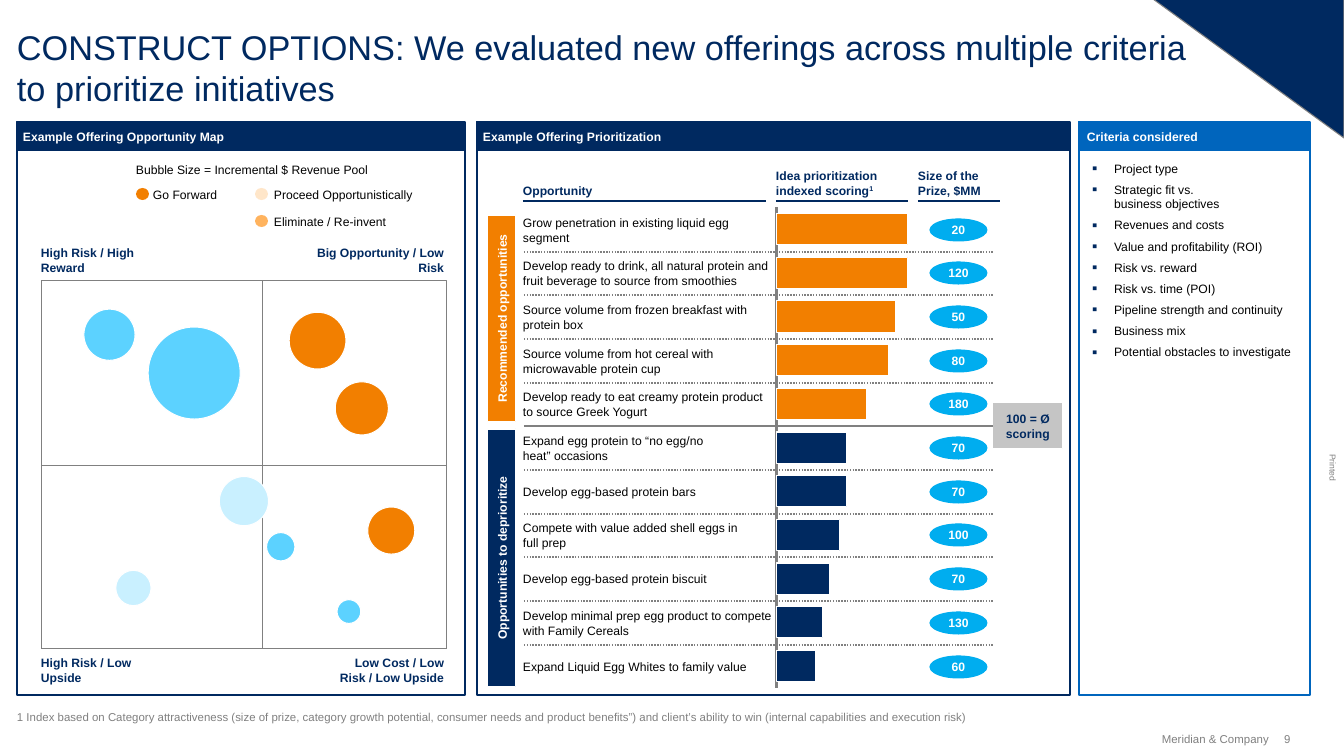
from dataclasses import dataclass
from typing import NamedTuple
from lxml import etree
from pptx import Presentation
from pptx.chart.data import BubbleChartData, CategoryChartData
from pptx.dml.color import RGBColor
from pptx.enum.chart import XL_AXIS_CROSSES as Crosses, XL_CHART_TYPE as ChartType
from pptx.enum.chart import XL_TICK_LABEL_POSITION as LabelPosition, XL_TICK_MARK as TickMark
from pptx.enum.dml import MSO_LINE_DASH_STYLE as Dash
from pptx.enum.shapes import MSO_CONNECTOR as Connector, MSO_SHAPE as Preset
from pptx.enum.text import MSO_ANCHOR as Anchor, MSO_AUTO_SIZE as AutoSize, PP_ALIGN as Align
from pptx.oxml import parse_xml
from pptx.oxml.ns import nsdecls, qn
from pptx.util import Emu, Pt


def px(length: int) -> Emu:
    return Emu(length * 8895)


def rgb(*codes: str) -> tuple:
    return tuple(RGBColor.from_string(code) for code in codes)


@dataclass(frozen=True)
class Theme:
    font = "Arial"
    title_size, body_size, note_size, print_size, chart_size = Pt(24), Pt(8.5), Pt(8), Pt(6), Pt(10)
    navy, blue, cyan, sky, pale = rgb("002960", "0065BD", "00ADEF", "5CD2FF", "C9F0FF")
    orange, amber, cream = rgb("F27F00", "FFB35E", "FFE6C9")
    white, black, grey, silver = rgb("FFFFFF", "000000", "808080", "C5C5C5")


THEME = Theme()


@dataclass(frozen=True)
class Style:
    color: RGBColor = THEME.black
    bold: bool = False
    size: int = THEME.body_size
    align: Align = Align.LEFT
    anchor: Anchor = Anchor.MIDDLE
    inset: int = 0


class Area(NamedTuple):
    left: int
    top: int
    width: int
    height: int


class Offering(NamedTuple):
    label: str
    score: int
    prize: int


class Bubble(NamedTuple):
    x: float
    y: float
    size: int
    color: RGBColor


PLAIN, FOOTER = Style(), Style(THEME.grey, size=THEME.note_size)
HEADING, HEADING_RIGHT = Style(THEME.navy, True), Style(THEME.navy, True, align=Align.RIGHT)
BADGE, CALLOUT = (Style(color, True, align=Align.CENTER) for color in (THEME.white, THEME.navy))
OFFERINGS = [
    Offering("Grow penetration in existing liquid egg segment", 100, 20),
    Offering("Develop ready to drink, all natural protein and fruit beverage to source from smoothies", 100, 120),
    Offering("Source volume from frozen breakfast with protein box", 95, 50),
    Offering("Source volume from hot cereal with microwavable protein cup", 92, 80),
    Offering("Develop ready to eat creamy protein product to source Greek Yogurt", 83, 180),
    Offering("Expand egg protein to “no egg/no\vheat” occasions", 75, 70),
    Offering("Develop egg-based protein bars", 75, 70),
    Offering("Compete with value added shell eggs in\vfull prep", 72, 100),
    Offering("Develop egg-based protein biscuit", 68, 70),
    Offering("Develop minimal prep egg product to compete with Family Cereals", 65, 130),
    Offering("Expand Liquid Egg Whites to family value", 62, 60)]
RECOMMENDED = 5
BUBBLES = [
    Bubble(-8.3, 88, 65, THEME.sky), Bubble(-7, -84, 31, THEME.pale), Bubble(3, 84, 80, THEME.orange),
    Bubble(-3.7, 62, 210, THEME.sky), Bubble(7, -45, 55, THEME.orange), Bubble(4.7, -100, 14, THEME.sky),
    Bubble(1, -56, 20, THEME.sky), Bubble(5.4, 38, 70, THEME.orange), Bubble(-1, -25, 60, THEME.pale)]
CRITERIA = ["Project type", "Strategic fit vs.\vbusiness objectives", "Revenues and costs",
            "Value and profitability (ROI)", "Risk vs. reward", "Risk vs. time (POI)",
            "Pipeline strength and continuity", "Business mix", "Potential obstacles to investigate"]
FOOTNOTE = ("1 Index based on Category attractiveness (size of prize, category growth potential, consumer needs and "
            "product benefits”) and client’s ability to win (internal capabilities and execution risk)")


def write(box, text: str, style: Style) -> None:
    frame = box.text_frame
    frame.word_wrap, frame.auto_size, frame.vertical_anchor = True, AutoSize.NONE, style.anchor
    frame.margin_left = frame.margin_right = frame.margin_top = frame.margin_bottom = px(style.inset)
    frame.text = text
    for para in frame.paragraphs:
        para.alignment = style.align
        para.font.name, para.font.size, para.font.bold = THEME.font, style.size, style.bold
        para.font.color.rgb = style.color


def add_text(page, area: Area, text: str, style: Style = PLAIN):
    box = page.shapes.add_textbox(*map(px, area))
    write(box, text, style)
    return box


def add_box(page, area: Area, fill: RGBColor, line: RGBColor, text: str = "", style: Style = PLAIN,
            preset: Preset = Preset.RECTANGLE, width: float = 0.75):
    box = page.shapes.add_shape(preset, *map(px, area))
    box.shadow.inherit = False
    box.fill.solid()
    box.fill.fore_color.rgb, box.line.color.rgb, box.line.width = fill, line, Pt(width)
    if text:
        write(box, text, style)
    return box


def add_line(page, start: tuple[int, int], end: tuple[int, int], color: RGBColor, width: float):
    line = page.shapes.add_connector(Connector.STRAIGHT, *map(px, start + end))
    line.line.color.rgb, line.line.width = color, Pt(width)
    etree.SubElement(line._element.spPr, qn("a:effectLst"))
    return line


def add_chart(page, kind: ChartType, area: Area, data, plot: tuple, colors: list[RGBColor]):
    """Add a chart with a fixed inner plot area and one colour per point."""
    chart = page.shapes.add_chart(kind, *map(px, area), data).chart
    chart.has_legend = chart.has_title = False
    chart.font.name, chart.font.size, chart.font.color.rgb = THEME.font, THEME.chart_size, THEME.black
    settings = zip(("layoutTarget", "xMode", "yMode", "x", "y", "w", "h"), ("inner", "edge", "edge") + plot)
    parts = "".join(f'<c:{name} val="{value}"/>' for name, value in settings)
    plot_area = chart._chartSpace.chart.plotArea
    for old in plot_area.findall(qn("c:layout")):
        plot_area.remove(old)
    plot_area.insert(0, parse_xml(f'<c:layout {nsdecls("c")}><c:manualLayout>{parts}</c:manualLayout></c:layout>'))
    series = chart.plots[0].series[0]
    for target, color in zip([series] + [series.points[i] for i in range(len(colors))], colors[-1:] + colors):
        target.format.fill.solid()
        target.format.fill.fore_color.rgb = color
        target.format.line.color.rgb, target.format.line.width = THEME.white, Pt(0.75)
    return chart


def format_axis(axis, width: float) -> None:
    axis.has_major_gridlines = axis.has_minor_gridlines = False
    axis.tick_label_position = LabelPosition.NONE
    axis.major_tick_mark = axis.minor_tick_mark = TickMark.NONE
    axis.format.line.color.rgb, axis.format.line.width = THEME.grey, Pt(width)


def draw_frame(page) -> None:
    """Draw the title, corner, footer and panels."""
    title = page.shapes.title
    title.left, title.top, title.width, title.height = map(px, Area(17, 26, 1186, 83))
    write(title, "CONSTRUCT OPTIONS: We evaluated new offerings across multiple criteria to prioritize initiatives",
          Style(THEME.navy, size=THEME.title_size, anchor=Anchor.TOP))
    add_box(page, Area(1153, -1, 191, 139), THEME.navy, THEME.grey, preset=Preset.RIGHT_TRIANGLE).rotation = 180
    add_text(page, Area(1316, 466, 34, 10), "Printed", Style(THEME.grey, size=THEME.print_size)).rotation = 90
    add_text(page, Area(17, 709, 1282, 15), FOOTNOTE, FOOTER)
    add_text(page, Area(1144, 732, 125, 14), "Meridian & Company", Style(THEME.grey, False, THEME.note_size, Align.RIGHT))
    add_text(page, Area(1284, 732, 15, 14), "9", FOOTER)
    for text, left, width, color, inset in (("Example Offering Prioritization", 477, 593, THEME.navy, 6),
                                            ("Example Offering Opportunity Map", 17, 448, THEME.navy, 6),
                                            ("Criteria considered", 1079, 231, THEME.blue, 8)):
        add_box(page, Area(left, 122, width, 573), THEME.white, color, width=1.5)
        add_box(page, Area(left, 122, width, 29), color, color, text, Style(THEME.white, True, inset=inset))


def draw_map(page) -> None:
    add_text(page, Area(136, 162, 310, 15), "Bubble Size = Incremental $ Revenue Pool")
    for label, left, gap, top, color in (("Go Forward", 136, 17, 187, THEME.orange),
                                         ("Proceed Opportunistically", 255, 19, 187, THEME.cream),
                                         ("Eliminate / Re-invent", 255, 19, 214, THEME.amber)):
        add_box(page, Area(left, top + 1, 13, 12), color, color, preset=Preset.OVAL).line.fill.background()
        add_text(page, Area(left + gap, top, 150, 15), label)
    for text, left, top, width, style in (("High Risk / High Reward", 41, 245, 107, HEADING),
                                          ("Big Opportunity / Low Risk", 293, 245, 151, HEADING_RIGHT),
                                          ("High Risk / Low Upside", 41, 655, 107, HEADING),
                                          ("Low Cost / Low\vRisk / Low Upside", 265, 655, 179, HEADING_RIGHT)):
        add_text(page, Area(left, top, width, 30), text, style)
    add_line(page, (262, 281), (262, 648), THEME.grey, 0.25)
    add_line(page, (41, 465), (446, 465), THEME.grey, 0.25)
    data = BubbleChartData()
    series = data.add_series("Series 1")
    for bubble in BUBBLES:
        series.add_data_point(bubble.x, bubble.y, bubble.size)
    chart = add_chart(page, ChartType.BUBBLE, Area(32, 271, 424, 388), data, (0.022, 0.024, 0.956, 0.949),
                      [bubble.color for bubble in BUBBLES])
    for axis, low, high, step in ((chart.category_axis, -12, 10, 2), (chart.value_axis, -125, 125, 25)):
        format_axis(axis, 0.75)
        axis.minimum_scale, axis.maximum_scale, axis.major_unit, axis.crosses = low, high, step, Crosses.MINIMUM
    chart._chartSpace.chart.plotArea.append(parse_xml(
        f'<c:spPr {nsdecls("c", "a")}><a:noFill/><a:ln w="9525"><a:solidFill><a:srgbClr val="{THEME.grey}"/>'
        '</a:solidFill></a:ln></c:spPr>'))


def draw_ranking(page) -> None:
    for text, left, width in (("Opportunity", 523, 243), ("Size of the Prize, $MM", 918, 82),
                              ("Idea prioritization\nindexed scoring", 776, 132)):
        heading = add_text(page, Area(left, 153, width, 45), text, Style(THEME.navy, True, anchor=Anchor.BOTTOM))
        add_line(page, (left, 201), (left + width, 201), THEME.navy, 0.75)
    mark = heading.text_frame.paragraphs[-1].add_run()
    mark.text = "1"
    mark._r.get_or_add_rPr().set("baseline", "30000")
    for text, top, height, color in (("Recommended opportunities", 215, 207, THEME.orange),
                                     ("Opportunities to deprioritize", 429, 258, THEME.navy)):
        band = add_box(page, Area(488, top, 28, height), color, THEME.white, text, BADGE)
        band.text_frame._txBody.bodyPr.set("vert", "vert270")
    average = add_box(page, Area(993, 403, 70, 46), THEME.silver, THEME.white, "100 = Ø scoring", CALLOUT)
    for row, offering in enumerate(OFFERINGS):
        offset = row * 437 // 10
        add_box(page, Area(523, 215 + offset, 253, 30), THEME.white, THEME.white, offering.label)
        add_box(page, Area(930, 219 + offset, 57, 22), THEME.cyan, THEME.cyan, str(offering.prize), BADGE, Preset.OVAL)
        if row < len(OFFERINGS) - 1:
            line = add_line(page, (524, 252 + offset), (993, 252 + offset), THEME.grey, 1)
            if row == RECOMMENDED - 1:
                line.end_connect(average, 1)
            else:
                line.line.dash_style = Dash.ROUND_DOT
    data = CategoryChartData()
    data.categories = [str(number + 1) for number in range(len(OFFERINGS))]
    data.add_series("Series 1", [offering.score for offering in OFFERINGS])
    colors = [THEME.orange if row < RECOMMENDED else THEME.navy for row in range(len(OFFERINGS))]
    chart = add_chart(page, ChartType.BAR_STACKED, Area(767, 198, 150, 499), data, (0.062, 0.019, 0.876, 0.963), colors)
    bars, scores = chart.plots[0], chart.value_axis
    bars.gap_width, bars.overlap, bars.vary_by_categories = 40, 100, False
    format_axis(chart.category_axis, 2.25)
    chart.category_axis.reverse_order = True
    scores.minimum_scale, scores.maximum_scale = 46, 100
    scores.has_major_gridlines = scores.visible = False


def draw_criteria(page) -> None:
    box = add_text(page, Area(1092, 161, 204, 206), "\n".join(CRITERIA), Style(anchor=Anchor.TOP))
    for number, para in enumerate(box.text_frame.paragraphs):
        props = para._p.get_or_add_pPr()
        props.set("marL", str(px(22)))
        props.set("indent", str(px(-22)))
        bullet = parse_xml(f'<a:pPr {nsdecls("a")}><a:buClr><a:srgbClr val="{THEME.navy}"/></a:buClr><a:buSzPct '
                           f'val="125000"/><a:buFont typeface="{THEME.font}"/><a:buChar char="▪"/></a:pPr>')
        for position, part in enumerate(list(bullet)):
            props.insert(position, part)
        para.space_before = Pt(4.6 if number else 0)


def main() -> None:
    deck = Presentation()
    deck.slide_width, deck.slide_height = px(1344), px(756)
    page = deck.slides.add_slide(deck.slide_layouts[5])
    for draw in (draw_frame, draw_map, draw_ranking, draw_criteria):
        draw(page)
    deck.save("out.pptx")


if __name__ == "__main__":
    main()
